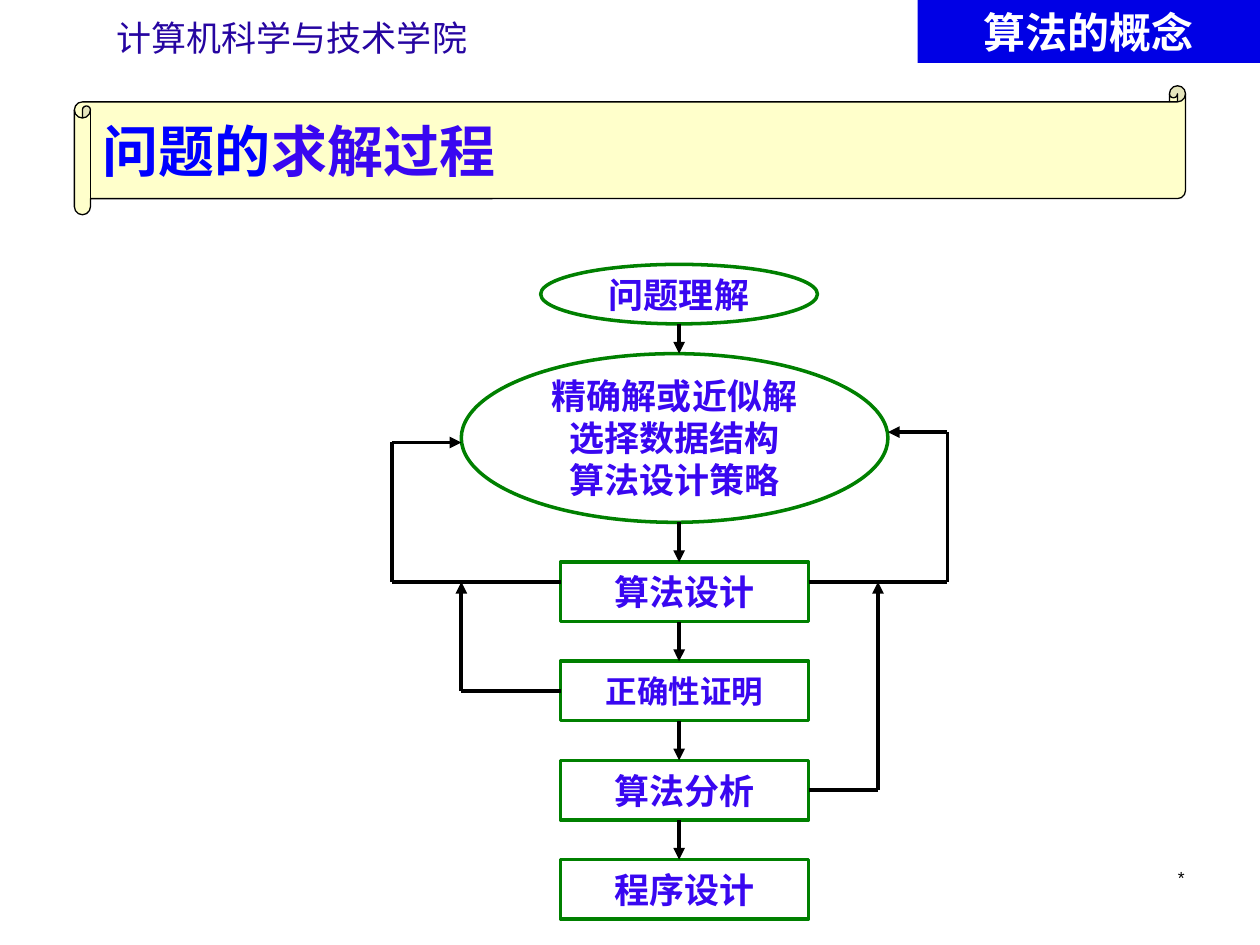
"""Build a slide showing the flowchart of the problem-solving process."""
from dataclasses import dataclass
from itertools import pairwise

from lxml import etree
from pptx import Presentation
from pptx import util as u
from pptx.dml import color
from pptx.enum import shapes, text
from pptx.oxml import ns


@dataclass(frozen=True)
class Theme:
    ink = color.RGBColor.from_string("000000")
    white = color.RGBColor.from_string("FFFFFF")
    green = color.RGBColor.from_string("008000")
    violet = color.RGBColor.from_string("3907F1")
    blue = color.RGBColor.from_string("0000FF")
    banner = color.RGBColor.from_string("0000E5")
    school = color.RGBColor.from_string("2605A1")
    scroll = color.RGBColor.from_string("FFFF99")
    title_size = u.Pt(32)
    banner_size = u.Pt(24)
    body_size = u.Pt(20)
    small_size = u.Pt(18)
    mark_size = u.Pt(10)
    sans = "Arial"
    serif = "Times New Roman"
    chinese = "Noto Sans CJK SC"


theme = Theme()


def write(box, lines, size, align, font=theme.sans, bold=True, anchor=text.MSO_ANCHOR.MIDDLE):
    frame = box.text_frame
    frame.word_wrap = True
    frame.vertical_anchor = anchor
    for index, line in enumerate(lines):
        para = frame.add_paragraph() if index else frame.paragraphs[0]
        para.alignment = align
        for words, tint in line:
            span = para.add_run()
            span.text = words
            span.font.size = size
            span.font.bold = bold
            span.font.name = font
            span.font.color.rgb = tint
            east = etree.SubElement(span.font._element, ns.qn("a:ea"))
            east.set("typeface", theme.chinese)


def link(start, end, arrow):
    line = page.shapes.add_connector(
        shapes.MSO_CONNECTOR.STRAIGHT, *(u.Cm(value) for value in (*start, *end)))
    line.line.color.rgb = theme.ink
    line.line.width = u.Pt(2.25)
    if arrow:
        tail = etree.SubElement(line.line._get_or_add_ln(), ns.qn("a:tailEnd"))
        tail.set("type", "triangle")
    etree.SubElement(line._element.spPr, ns.qn("a:effectLst"))
    return line


deck = Presentation()
deck.slide_width, deck.slide_height = u.Cm(25.4), u.Cm(19.05)
page = deck.slides.add_slide(deck.slide_layouts[6])
left, center, right = text.PP_ALIGN.LEFT, text.PP_ALIGN.CENTER, text.PP_ALIGN.RIGHT

school = page.shapes.add_textbox(u.Cm(2.1), u.Cm(0), u.Cm(10.4), u.Cm(1.52))
write(school, [[("计算机科学与技术学院", theme.school)]], theme.body_size, left, theme.serif, False)

mark = page.shapes.add_textbox(u.Cm(18.2), u.Cm(17.35), u.Cm(5.93), u.Cm(1.27))
write(mark, [[("*", theme.ink)]], theme.mark_size, right, bold=False, anchor=text.MSO_ANCHOR.TOP)

title = page.shapes.add_shape(
    shapes.MSO_SHAPE.HORIZONTAL_SCROLL, u.Cm(1.5), u.Cm(1.73), u.Cm(22.4), u.Cm(2.6))
title.shadow.inherit = False
title.fill.solid()
title.fill.fore_color.rgb = theme.scroll
tint = title._element.spPr.find(".//" + ns.qn("a:srgbClr"))
etree.SubElement(tint, ns.qn("a:alpha")).set("val", "50000")
title.line.color.rgb = theme.ink
title.line.width = u.Pt(0.75)
write(title, [[("问题的", theme.blue), ("求解过程", theme.violet)]], theme.title_size, left)

oval, rect = shapes.MSO_SHAPE.OVAL, shapes.MSO_SHAPE.RECTANGLE
stages = [
    (oval, 10.9, 5.33, 5.58, 1.2, ["问题理解"], theme.body_size),
    (oval, 9.3, 7.13, 8.6, 3.4, ["精确解或近似解", "选择数据结构", "算法设计策略"], theme.body_size),
]
steps = ["算法设计", "正确性证明", "算法分析", "程序设计"]
for index, step in enumerate(steps):
    size = theme.small_size if step == "正确性证明" else theme.body_size
    stages.append((rect, 11.3, 11.33 + 2 * index, 5, 1.2, [step], size))

boxes = {}
for kind, x, y, width, height, lines, size in stages:
    box = page.shapes.add_shape(kind, u.Cm(x), u.Cm(y), u.Cm(width), u.Cm(height))
    box.shadow.inherit = False
    box.fill.solid()
    box.fill.fore_color.rgb = theme.white
    box.line.color.rgb = theme.green
    box.line.width = u.Pt(2)
    write(box, [[(line, theme.violet)] for line in lines], size, center)
    boxes[lines[0]] = box

for upper, lower in pairwise(stages):
    link((13.69, upper[2] + upper[4]), (13.69, lower[2]), True)

feedback = [
    (None, 0, [(11.3, 11.73), (7.9, 11.73), (7.9, 8.92), (9.3, 8.92)]),
    (None, 0, [(16.3, 11.73), (19.1, 11.73), (19.1, 8.71), (17.9, 8.71)]),
    ("正确性证明", 1, [(11.3, 13.93), (9.3, 13.93), (9.3, 11.73)]),
    ("算法分析", 3, [(16.3, 15.93), (17.7, 15.93), (17.7, 11.73)]),
]
for source, side, points in feedback:
    lines = [link(start, end, end == points[-1]) for start, end in pairwise(points)]
    if source:
        lines[0].begin_connect(boxes[source], side)

banner = page.shapes.add_shape(rect, u.Cm(18.5), u.Cm(0), u.Cm(6.9), u.Cm(1.27))
banner.shadow.inherit = False
banner.fill.solid()
banner.fill.fore_color.rgb = theme.banner
banner.line.fill.background()
write(banner, [[("算法的概念", theme.white)]], theme.banner_size, center, theme.chinese)

deck.save("out.pptx")
